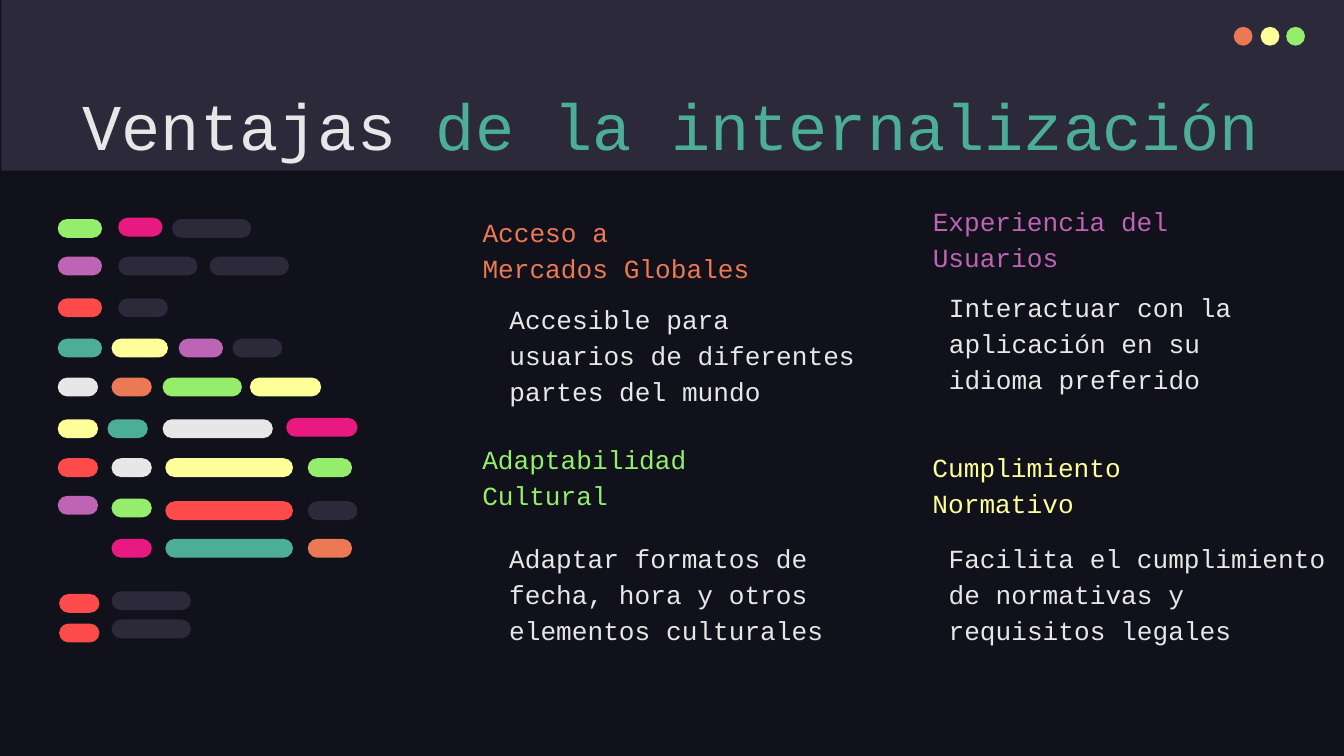
from pptx import Presentation
from pptx.dml.color import RGBColor
from pptx.enum import shapes, text
from pptx.oxml.ns import qn
from pptx.util import Inches, Pt

FONT = "Courier New"
NIGHT, PANEL, LIGHT = "10111A", "2C293A", "E7E7E7"
ORANGE, YELLOW, GREEN, PINK = "EC7955", "FFFF99", "94EE6B", "E81A81"
PURPLE, RED, TEAL = "BD64B5", "FD4A4A", "4CAE97"

PILL_HEIGHT = 0.14
# Row top, then pills as (left, width, colour, optional shift down)
CODE_ROWS = [
    (0.01, [(0, 0.33, GREEN), (0.45, 0.33, PINK, -0.01), (0.85, 0.59, PANEL)]),
    (0.29, [(0, 0.33, PURPLE), (0.45, 0.59, PANEL), (1.13, 0.59, PANEL)]),
    (0.6, [(0, 0.33, RED), (0.45, 0.37, PANEL)]),
    (0.9, [(0, 0.33, TEAL), (0.4, 0.42, YELLOW), (0.9, 0.33, PURPLE), (1.3, 0.37, PANEL)]),
    (1.19, [(0, 0.3, LIGHT), (0.4, 0.3, ORANGE), (0.78, 0.59, GREEN), (1.43, 0.53, YELLOW)]),
    (1.5, [(0, 0.3, YELLOW), (0.37, 0.3, TEAL), (0.78, 0.82, LIGHT), (1.7, 0.53, PINK, -0.01)]),
    (1.79, [(0, 0.3, RED), (0.4, 0.3, LIGHT), (0.8, 0.95, YELLOW), (1.86, 0.33, GREEN)]),
    (2.07, [(0, 0.3, PURPLE), (0.4, 0.3, GREEN, 0.02), (0.8, 0.95, RED, 0.04),
            (1.86, 0.37, PANEL, 0.04)]),
    (2.39, [(0.4, 0.3, PINK), (0.8, 0.95, TEAL), (1.86, 0.33, ORANGE)]),
    (2.8, [(0.01, 0.3, RED), (0.4, 0.59, PANEL, -0.02)]),
    (3.02, [(0.01, 0.3, RED), (0.4, 0.59, PANEL, -0.03)]),
]

# Heading lines, colour and box, then body and box
ADVANTAGES = [
    (["Acceso a", "Mercados Globales"], ORANGE, (3.49, 1.58, 2.29, 0.63),
     "Accesible para usuarios de diferentes partes del mundo", (3.69, 2.12, 2.84, 0.91)),
    (["Experiencia del Usuarios"], PURPLE, (6.84, 1.58, 2.16, 0.55),
     "Interactuar con la aplicación en su idioma preferido", (6.96, 2.03, 2.35, 0.91)),
    (["Adaptabilidad Cultural"], GREEN, (3.49, 3.35, 2.16, 0.55),
     "Adaptar formatos de fecha, hora y otros elementos culturales", (3.69, 3.9, 2.66, 0.91)),
    (["Cumplimiento Normativo"], YELLOW, (6.84, 3.41, 2.16, 0.55),
     "Facilita el cumplimiento de normativas y requisitos legales", (6.96, 3.9, 3.04, 0.91)),
]


def rgb(value):
    return RGBColor.from_string(value)


def add_filled(parent, kind, box, color):
    sp = parent.add_shape(kind, *map(Inches, box))
    sp.shadow.inherit = False
    sp.fill.solid()
    sp.fill.fore_color.rgb = rgb(color)
    sp.line.fill.background()
    return sp


def add_run(p, words, size, color):
    r = p.add_run()
    r.text = words
    r.font.name, r.font.size, r.font.bold = FONT, Pt(size), False
    r.font.color.rgb = rgb(color)


def place_text(sp, box, anchor):
    """Move a text shape to its box and return its text frame."""
    sp.left, sp.top, sp.width, sp.height = map(Inches, box)
    tf = sp.text_frame
    tf.word_wrap = True
    tf.auto_size = text.MSO_AUTO_SIZE.NONE
    tf.vertical_anchor = anchor
    tf.margin_left = tf.margin_right = tf.margin_top = tf.margin_bottom = Inches(0.1)
    return tf


def fill_block(sp, box, lines, color, anchor):
    """Write plain unbulleted lines into a placeholder or text box."""
    tf = place_text(sp, box, anchor)
    for i, line in enumerate(lines):
        p = tf.add_paragraph() if i else tf.paragraphs[0]
        pPr = p._p.get_or_add_pPr()
        pPr.set("marL", "0")
        pPr.set("indent", "0")
        pPr.append(pPr.makeelement(qn("a:buNone"), {}))
        p.alignment = text.PP_ALIGN.LEFT
        p.line_spacing = 1.15
        p.space_before = p.space_after = Pt(0)
        add_run(p, line, 14, color)


def add_header(s, x, y, w, h):
    band = add_filled(s.shapes, shapes.MSO_SHAPE.RECTANGLE, (x, y, w, h), PANEL)
    s.shapes._spTree.insert(2, band._element)  # behind the title
    dots = s.shapes.add_group_shape()
    for left, color in zip((9.17, 9.37, 9.56), (ORANGE, YELLOW, GREEN)):
        add_filled(dots.shapes, shapes.MSO_SHAPE.OVAL, (x + left, y + 0.2, 0.14, 0.14), color)
    tf = place_text(s.shapes.title, (x + 0.47, y + 0.53, 9.03, 0.63), text.MSO_ANCHOR.TOP)
    p = tf.paragraphs[0]
    p.alignment = text.PP_ALIGN.CENTER
    add_run(p, "Ventajas ", 35, LIGHT)
    add_run(p, "de la internalización ", 35, TEAL)


def add_advantages(s):
    """Fill the body placeholders first, then text boxes for the second row."""
    spare = [sp for sp in s.placeholders if sp.placeholder_format.idx > 0]

    def next_block():
        return spare.pop(0) if spare else s.shapes.add_textbox(0, 0, 0, 0)

    for heading, color, heading_box, body, body_box in ADVANTAGES:
        fill_block(next_block(), heading_box, heading, color, text.MSO_ANCHOR.BOTTOM)
        fill_block(next_block(), body_box, [body], LIGHT, text.MSO_ANCHOR.TOP)


def add_code_art(s, x, y):
    """Draw lines of code as rows of coloured pills."""
    art = s.shapes.add_group_shape()
    for top, pills in CODE_ROWS:
        for left, width, color, *shift in pills:
            box = (x + left, y + top + sum(shift), width, PILL_HEIGHT)
            pill = add_filled(art.shapes, shapes.MSO_SHAPE.ROUNDED_RECTANGLE, box, color)
            pill.adjustments[0] = 0.5


def main():
    prs = Presentation()
    prs.slide_width = Inches(10)
    prs.slide_height = prs.slide_width * 9 // 16
    s = prs.slides.add_slide(prs.slide_layouts.get_by_name("Comparison"))
    s.background.fill.solid()
    s.background.fill.fore_color.rgb = rgb(NIGHT)
    add_header(s, 0.01, 0, 10, 1.27)
    add_advantages(s)
    add_code_art(s, 0.43, 1.62)
    prs.save("out.pptx")


if __name__ == "__main__":
    main()
